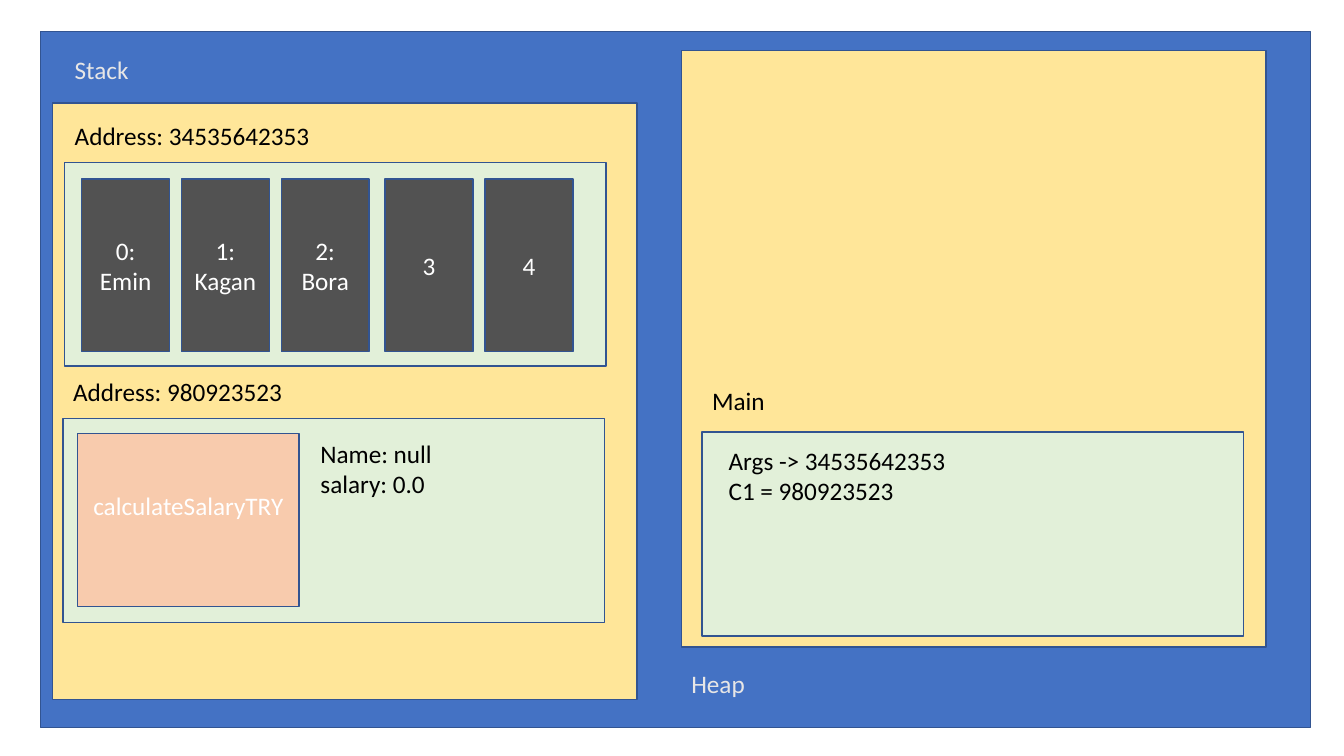
from pptx import Presentation
from pptx import util as u
from pptx.dml import color
from pptx.enum import shapes, text

FONT = "Calibri"
BLUE, EDGE = "4472C4", "325491"
YELLOW, GREEN, GREY, PEACH = "FFE699", "E2F0D9", "525252", "F8CBAD"
WHITE, BLACK, PALE = "FFFFFF", "000000", "E7E6E6"

REGION = (417.6, 426.2)   # size of the stack and heap areas
PANEL = (386.6, 145.6)    # size of each green panel
CELL = (62.8, 123.3)      # size of one array cell


def rgb(value):
    return color.RGBColor.from_string(value)


def write(frame, lines, ink, align):
    frame.word_wrap = True
    for index, line in enumerate(lines):
        para = frame.paragraphs[0] if index == 0 else frame.add_paragraph()
        para.text = line
        para.alignment = align
        para.font.name = FONT
        para.font.size = u.Pt(18)
        para.font.color.rgb = rgb(ink)


def add_box(page, left, top, size, fill, label=None):
    """Outlined rectangle, with a centred white label if one is given."""
    box = page.shapes.add_shape(shapes.MSO_SHAPE.RECTANGLE,
                                u.Pt(left), u.Pt(top), u.Pt(size[0]), u.Pt(size[1]))
    box.shadow.inherit = False
    box.fill.solid()
    box.fill.fore_color.rgb = rgb(fill)
    box.line.color.rgb = rgb(EDGE)
    box.line.width = u.Pt(1)
    if label:
        box.text_frame.vertical_anchor = text.MSO_ANCHOR.MIDDLE
        write(box.text_frame, [label], WHITE, text.PP_ALIGN.CENTER)
    return box


def add_text(page, left, top, width, lines, ink=BLACK):
    height = 7.4 + 21.8 * len(lines)
    box = page.shapes.add_textbox(u.Pt(left), u.Pt(top), u.Pt(width), u.Pt(height))
    write(box.text_frame, lines, ink, text.PP_ALIGN.LEFT)
    box.text_frame.auto_size = text.MSO_AUTO_SIZE.SHAPE_TO_FIT_TEXT


def add_array(page, left, top, labels):
    """Row of equal cells; the unused ones stand slightly apart."""
    for index, label in enumerate(labels):
        gap = 2.9 if index > 2 else 0
        add_box(page, left + 71.3 * index + gap, top, CELL, GREY, label)


def main():
    deck = Presentation()
    deck.slide_width, deck.slide_height = u.Pt(960), u.Pt(540)
    page = deck.slides.add_slide(deck.slide_layouts[6])

    # Memory and its two regions
    add_box(page, 28.8, 22.3, (907.2, 497.5), BLUE)
    add_box(page, 37.4, 73.6, REGION, YELLOW)
    add_box(page, 486.7, 36, REGION, YELLOW)
    add_text(page, 46.3, 35.5, 177, ["Stack"], PALE)
    add_text(page, 486.7, 473.8, 177, ["Heap"], PALE)

    # Main method frame
    add_box(page, 501.6, 308.7, PANEL, GREEN)
    add_text(page, 501.6, 271.4, 106.6, ["Main"])
    add_text(page, 513.4, 314.6, 348.5, ["Args -> 34535642353", "C1 = 980923523"])

    # Argument array
    add_box(page, 46.3, 116, PANEL, GREEN)
    add_text(page, 46.3, 82.4, 239, ["Address: 34535642353"])
    add_array(page, 58.3, 127.9, ["0: Emin", "1: Kagan", "2: Bora", "3", "4"])

    # Employee object
    add_box(page, 45.1, 299, PANEL, GREEN)
    add_text(page, 45.1, 265.2, 239, ["Address: 980923523"])
    method = add_box(page, 55.6, 309.6, (158, 123.8), PEACH, "calculateSalaryTRY")
    method.text_frame.margin_bottom = u.Pt(25.2)  # lifts the label above centre
    add_text(page, 221.8, 309.6, 218.2, ["Name: null", "salary: 0.0"])

    deck.save("out.pptx")


if __name__ == "__main__":
    main()
